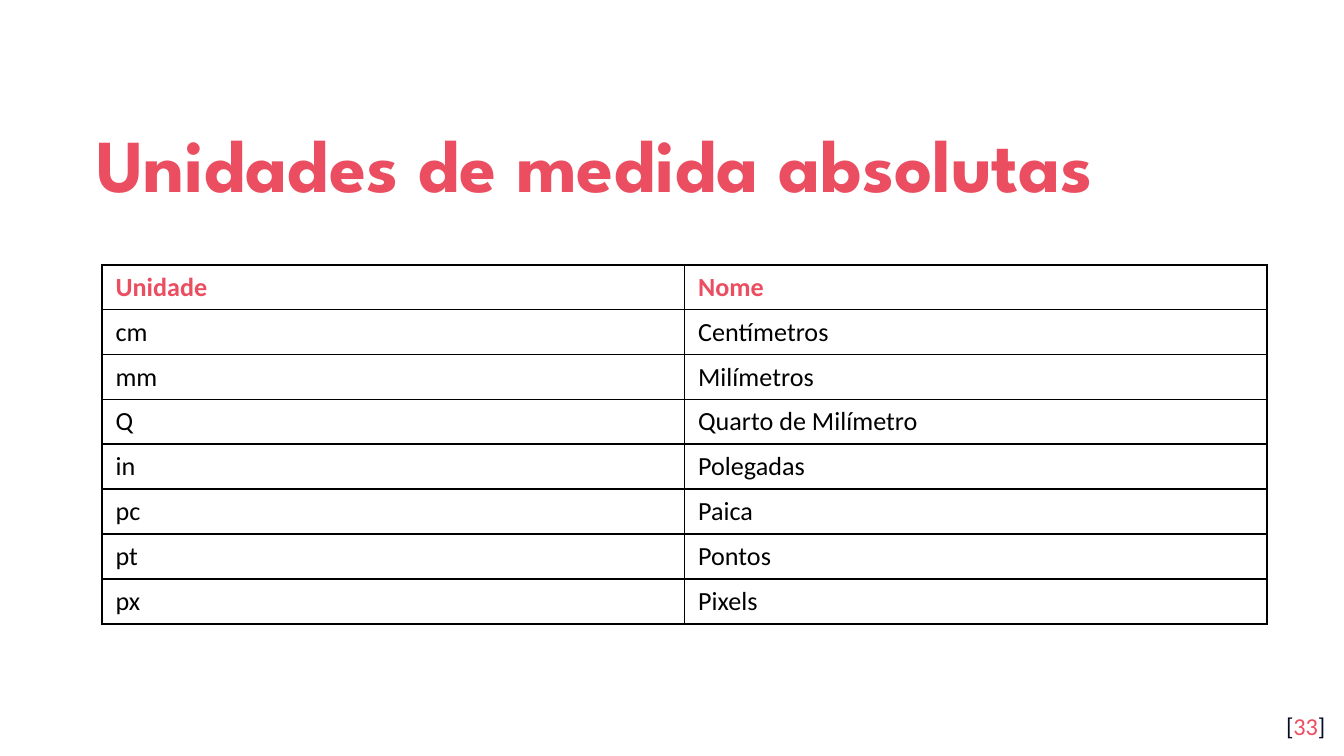
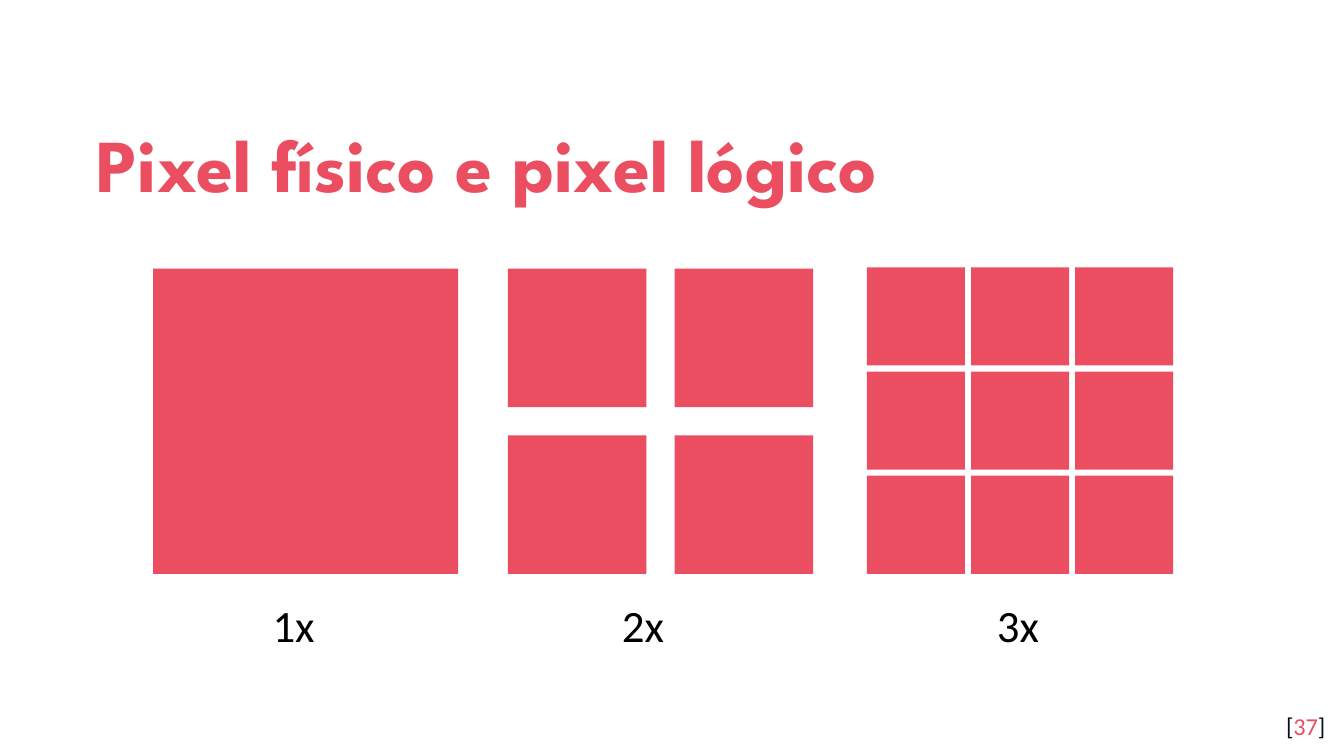
from lxml.etree import SubElement
from pptx import Presentation
from pptx.dml.color import RGBColor
from pptx.enum.shapes import MSO_SHAPE
from pptx.enum.text import MSO_ANCHOR, MSO_AUTO_SIZE, PP_ALIGN
from pptx.oxml.ns import qn
from pptx.util import Inches, Pt

PAGE_WIDTH = 10
PAGE_HEIGHT = PAGE_WIDTH * 9 / 16

CORAL, NAVY, BLACK, WHITE = "EA4E60", "040A24", "000000", "FFFFFF"
BODY_FONT = "Calibri"

# Text formats
TITLE = {"name": "League Spartan", "size": Pt(40), "bold": True}
NUMBER = {"name": BODY_FONT, "size": Pt(13)}
HEADER = {"name": BODY_FONT, "size": Pt(14), "bold": True}
CELL = {"name": BODY_FONT, "size": Pt(14), "bold": False}
LABEL = {"name": BODY_FONT, "size": Pt(24)}

# Boxes: left, top, width, height in inches
TITLE_BOX = (0.62, 0.7, 8.77, 0.92)
NUMBER_BOX = (9.36, 5.19, 0.6, 0.43)
TABLE_BOX = (0.76, 1.97, 8.67, 2.67)

UNITS = [
    ("Unidade", "Nome"),
    ("cm", "Centímetros"),
    ("mm", "Milímetros"),
    ("Q", "Quarto de Milímetro"),
    ("in", "Polegadas"),
    ("pc", "Paica"),
    ("pt", "Pontos"),
    ("px", "Pixels"),
]

# Pixel grids: left, top, side, squares per side, square size, label left
PIXEL_GRIDS = [
    (1.14, 2, 2.27, 1, 2.27, 1.93),
    (3.78, 2, 2.27, 2, 1.03, 4.53),
    (6.45, 1.99, 2.28, 3, 0.73, 7.32),
]


def color(value):
    return RGBColor.from_string(value)


def set_attributes(target, values):
    for name, value in values.items():
        setattr(target, name, value)


def add_span(para, text, style, hue):
    span = para.add_run()
    span.text = text
    set_attributes(span.font, style)
    span.font.color.rgb = color(hue)


def add_text(page, box, spans, style, frame_format, para_format):
    """Place one paragraph made of (text, colour) spans."""
    frame = page.shapes.add_textbox(*map(Inches, box)).text_frame
    set_attributes(frame, {"word_wrap": True, **frame_format})
    para = frame.paragraphs[0]
    set_attributes(para, para_format)
    for text, hue in spans:
        add_span(para, text, style, hue)


def add_page(deck, title, number):
    """Start a page with the shared background, title and page number."""
    page = deck.slides.add_slide(deck.slide_layouts[6])
    page.background.fill.solid()
    page.background.fill.fore_color.rgb = color(WHITE)
    sides = ("left", "top", "right", "bottom")
    margins = {f"margin_{side}": Inches(0.1) for side in sides}
    add_text(page, TITLE_BOX, [(title, CORAL)], TITLE,
             {**margins, "vertical_anchor": MSO_ANCHOR.MIDDLE}, {"line_spacing": 1.15})
    add_text(page, NUMBER_BOX, [("[", NAVY), (str(number), CORAL), ("]", NAVY)],
             NUMBER, margins, {"alignment": PP_ALIGN.RIGHT})
    return page


def add_borders(cell):
    properties = cell._tc.get_or_add_tcPr()
    for position, side in enumerate(("lnL", "lnR", "lnT", "lnB")):
        line = SubElement(properties, qn(f"a:{side}"), w=str(Pt(1)))
        fill = SubElement(line, qn("a:solidFill"))
        SubElement(fill, qn("a:srgbClr"), val=BLACK)
        properties.insert(position, line)  # borders precede the cell fill


def add_unit_table(page, box, rows):
    """Fill the box with equal rows and columns."""
    left, top, width, height = box
    table = page.shapes.add_table(len(rows), len(rows[0]), *map(Inches, box)).table
    set_attributes(table, {"first_row": False, "horz_banding": False})
    for column in table.columns:
        column.width = Inches(width / len(rows[0]))
    for index, texts in enumerate(rows):
        table.rows[index].height = Inches(height / len(rows))
        style, hue = (CELL, BLACK) if index else (HEADER, CORAL)
        for cell, text in zip(table.rows[index].cells, texts):
            cell.vertical_anchor = MSO_ANCHOR.MIDDLE
            cell.fill.background()
            add_borders(cell)
            add_span(cell.text_frame.paragraphs[0], text, style, hue)


def add_pixel_grid(page, left, top, side, count, size, label_left):
    """Spread count x count squares over the side and label the density."""
    step = (side - size) / max(count - 1, 1)
    for row in range(count):
        for column in range(count):
            box = (left + column * step, top + row * step, size, size)
            pixel = page.shapes.add_shape(MSO_SHAPE.RECTANGLE, *map(Inches, box))
            pixel.shadow.inherit = False
            pixel.fill.solid()
            pixel.fill.fore_color.rgb = color(CORAL)
            pixel.line.fill.background()
    add_text(page, (label_left, 4.4, 0.57, 0.5), [(f"{count}x", BLACK)], LABEL,
             {"auto_size": MSO_AUTO_SIZE.SHAPE_TO_FIT_TEXT}, {})


def main():
    deck = Presentation()
    set_attributes(deck, {"slide_width": Inches(PAGE_WIDTH),
                          "slide_height": Inches(PAGE_HEIGHT)})

    # Absolute units
    page = add_page(deck, "Unidades de medida absolutas", 33)
    add_unit_table(page, TABLE_BOX, UNITS)

    # Physical and logical pixels
    page = add_page(deck, "Pixel físico e pixel lógico", 37)
    for grid in PIXEL_GRIDS:
        add_pixel_grid(page, *grid)

    deck.save("out.pptx")


if __name__ == "__main__":
    main()
